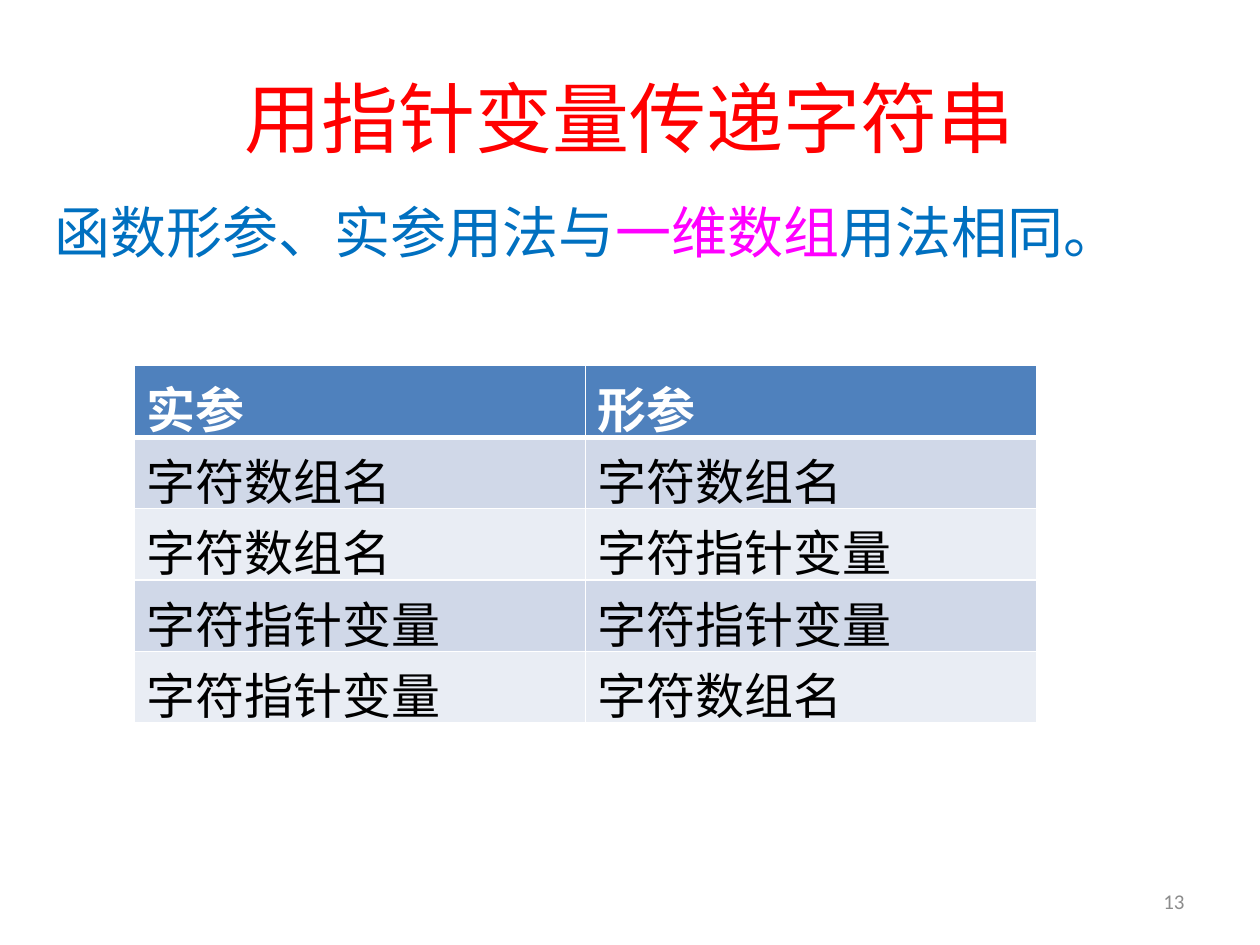
from dataclasses import dataclass

from lxml.etree import SubElement
from pptx import Presentation
from pptx.dml.color import RGBColor as Rgb
from pptx.enum.text import MSO_ANCHOR as Anchor, MSO_AUTO_SIZE as AutoSize, PP_ALIGN as Align
from pptx.oxml.ns import qn
from pptx.util import Pt


@dataclass(frozen=True)
class Theme:
    chinese: str = "Noto Sans CJK SC"
    latin: str = "Calibri"
    title_size: int = 44
    statement_size: int = 32
    table_size: int = 28
    number_size: int = 12
    title: str = "FF0000"
    statement: str = "0070C0"
    emphasis: str = "FF00FF"
    header_fill: str = "4F81BD"
    header_text: str = "FFFFFF"
    body_text: str = "000000"
    bands: tuple = ("D0D8E8", "E9EDF4")
    border: str = "FFFFFF"
    number: str = "8C8C8C"


THEME = Theme()


def style_run(run, size, color, face=THEME.chinese, bold=False):
    run.font.size = Pt(size)
    run.font.bold = bold
    run.font.color.rgb = Rgb.from_string(color)
    run.font.name = face
    SubElement(run.font._element, qn("a:ea"), typeface=face)


def place(part, box):
    part.left, part.top, part.width, part.height = (Pt(length) for length in box)


def add_title(slide, box, wording):
    title = slide.shapes.title
    place(title, box)
    frame = title.text_frame
    frame.text = wording
    frame.word_wrap = True
    frame.vertical_anchor = Anchor.MIDDLE
    frame.paragraphs[0].alignment = Align.CENTER
    style_run(frame.paragraphs[0].runs[0], THEME.title_size, THEME.title)


def add_statement(slide, box, pieces):
    frame = slide.shapes.add_textbox(*(Pt(length) for length in box)).text_frame
    frame.word_wrap = True
    frame.auto_size = AutoSize.SHAPE_TO_FIT_TEXT
    for wording, color in pieces:
        run = frame.paragraphs[0].add_run()
        run.text = wording
        style_run(run, THEME.statement_size, color)


def add_number(slide, box, number):
    frame = slide.shapes.add_textbox(*(Pt(length) for length in box)).text_frame
    frame.text = number
    frame.word_wrap = True
    frame.vertical_anchor = Anchor.MIDDLE
    frame.paragraphs[0].alignment = Align.RIGHT
    style_run(frame.paragraphs[0].runs[0], THEME.number_size, THEME.number, THEME.latin)


def set_borders(cell, widths):
    properties = cell._tc.get_or_add_tcPr()
    for side, width in widths.items():
        line = SubElement(properties, qn(f"a:ln{side}"), w=str(Pt(width)))
        fill = SubElement(line, qn("a:solidFill"))
        SubElement(fill, qn("a:srgbClr"), val=THEME.border)


def add_argument_table(slide, box, pairs):
    left, top, width, height = box
    table = slide.shapes.add_table(
        len(pairs), len(pairs[0]), Pt(left), Pt(top), Pt(width), Pt(height)
    ).table
    for row_index, pair in enumerate(pairs):
        table.rows[row_index].height = Pt(height / len(pairs))
        is_header = row_index == 0
        fill = THEME.header_fill if is_header else THEME.bands[(row_index - 1) % 2]
        color = THEME.header_text if is_header else THEME.body_text
        widths = {"L": 1, "R": 1, "T": 3 if row_index == 1 else 1, "B": 3 if is_header else 1}
        for column_index, wording in enumerate(pair):
            cell = table.cell(row_index, column_index)
            set_borders(cell, widths)
            cell.fill.solid()
            cell.fill.fore_color.rgb = Rgb.from_string(fill)
            cell.text_frame.text = wording
            style_run(cell.text_frame.paragraphs[0].runs[0], THEME.table_size, color, bold=is_header)


def build_slide(deck):
    slide = deck.slides.add_slide(deck.slide_layouts[5])
    add_title(slide, (36, 21.6, 648, 90), "用指针变量传递字符串")
    add_number(slide, (516, 500.5, 168, 28.75), "13")
    add_statement(slide, (24, 109.5, 657, 46), [
        ("函数形参、实参用法与", THEME.statement),
        ("一维数组", THEME.emphasis),
        ("用法相同。", THEME.statement),
    ])
    array, pointer = "字符数组名", "字符指针变量"
    add_argument_table(slide, (76.5, 209, 516, 203.5), [
        ("实参", "形参"),
        (array, array),
        (array, pointer),
        (pointer, pointer),
        (pointer, array),
    ])


deck = Presentation()
deck.slide_width, deck.slide_height = Pt(720), Pt(540)
build_slide(deck)
deck.save("out.pptx")
